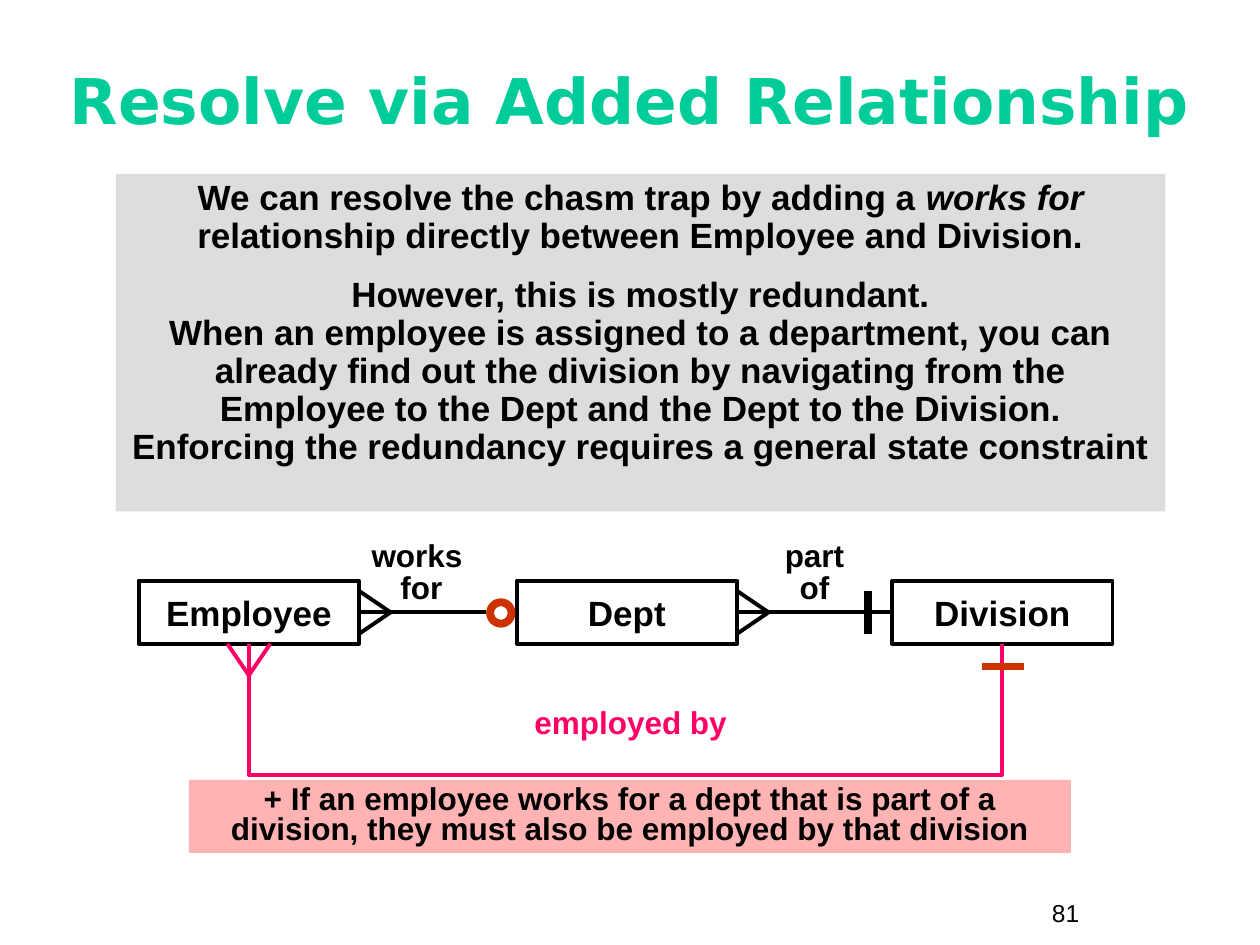
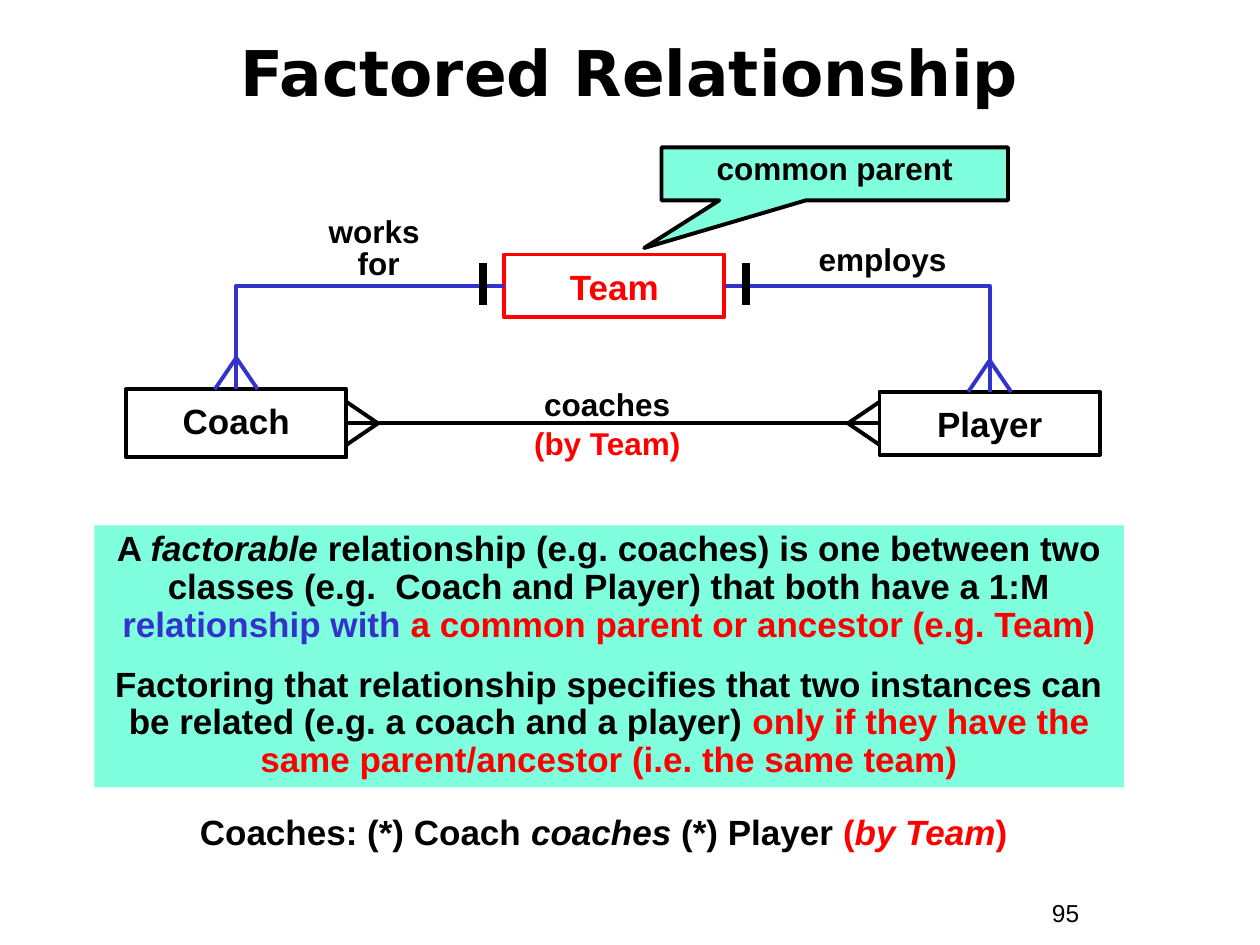
from pptx import Presentation
from pptx.dml.color import RGBColor
from pptx.enum.shapes import MSO_CONNECTOR, MSO_SHAPE
from pptx.enum.text import MSO_ANCHOR, MSO_AUTO_SIZE, PP_ALIGN
from pptx.oxml.ns import qn
from pptx.util import Inches, Pt
from lxml.etree import SubElement

COLORS = {
    "black": "000000", "green": "00CC99", "mint": "7FFFDD", "gray": "DDDDDD",
    "rose": "FFB3B3", "pink": "FF0066", "rust": "CC3300", "red": "FF0000",
    "blue": "3333CC",
}
TITLE_FONT, BODY_FONT = "DejaVu Sans", "Arial"
LINE, MARK = 2.25, 4.5
ENTITY_WIDTH, ENTITY_HEIGHT = 1.75, 0.5
FOOT_DEPTH, FOOT_SPREAD = 0.25, 0.17
TOP, LEFT, BOTTOM, RIGHT = range(4)
OUTWARD = {TOP: (0, -1), LEFT: (-1, 0), BOTTOM: (0, 1), RIGHT: (1, 0)}

ITALIC = {"italic": True}
RED = {"color": "red"}
RED_ITALIC = {"color": "red", "italic": True}

CHASM = {
    "title": ("Resolve via Added Relationship", "green", (0.33, 0.33, 9.33, 0.92)),
    "number": "81",
    "entities": {
        "Employee": ((1.1, 4.61), ENTITY_HEIGHT, "black", 1.0),
        "Dept": ((4.1, 4.61), ENTITY_HEIGHT, "black", 1.0),
        "Division": ((7.08, 4.61), ENTITY_HEIGHT, "black", 1.0),
    },
    "feet": [("Employee", RIGHT, "black"), ("Dept", RIGHT, "black"),
             ("Employee", BOTTOM, "pink")],
    "bars": [((6.89, 4.69), (6.89, 5.03), "black"),
             ((7.79, 5.29), (8.13, 5.29), "rust")],
    "labels": [
        ((2.51, 4.25, 1.67, 0.61), [[("works \nfor", {})]], {}),
        ((5.63, 4.25, 1.67, 0.61), [[("part\nof", {})]], {}),
        ((3.93, 5.58, 2.15, 0.36), [[("employed by", {"color": "pink"})]], {}),
    ],
    "panels": [
        ((0.92, 1.38, 8.33, 2.68), "gray", [
            [("We can resolve the chasm trap by adding a ", {}),
             ("works for", ITALIC),
             (" relationship directly between Employee and Division.", {})],
            [("However, this is mostly redundant.\n"
              "When an employee is assigned to a department, you can already "
              "find out the division by navigating from the Employee to the "
              "Dept and the Dept to the Division.\n"
              "Enforcing the redundancy requires a general state constraint", {})],
        ], {"size": 20, "spacing": 0.9}),
        ((1.5, 6.19, 7, 0.58), "rose", [
            [("+ If an employee works for a dept that is part of a division, "
              "they must also be employed by that division", {})],
        ], {"spacing": 0.8, "anchor": MSO_ANCHOR.MIDDLE}),
    ],
}

FACTORED = {
    "title": ("Factored Relationship", "black", (0.33, 0.15, 9.33, 0.83)),
    "number": "95",
    "entities": {
        "Coach": ((1, 3.09), 0.54, "black", 0.85),
        "Team": ((4, 2.02), ENTITY_HEIGHT, "red", 1.0),
        "Player": ((6.98, 3.11), ENTITY_HEIGHT, "black", 1.0),
    },
    "feet": [("Coach", RIGHT, "black"), ("Player", LEFT, "black"),
             ("Coach", TOP, "blue"), ("Player", TOP, "blue")],
    "bars": [((3.83, 2.09), (3.83, 2.42), "black"),
             ((5.92, 2.09), (5.92, 2.42), "black")],
    "labels": [
        ((2.17, 1.68, 1.67, 0.61), [[("works \nfor", {})]], {}),
        ((6.17, 1.9, 1.67, 0.36), [[("employs", {})]], {}),
        ((3.89, 2.99, 1.86, 0.73),
         [[("coaches\n", {}), ("(by Team)", RED)]], {"spacing": 1.05}),
        ((1.48, 6.42, 6.62, 0.4),
         [[("Coaches: (*) Coach ", {}), ("coaches", ITALIC),
           (" (*) Player ", {}), ("(", RED), ("by Team", RED_ITALIC), (")", RED)]],
         {"size": 20, "spacing": 0.9, "wrap": False}),
    ],
    "panels": [
        ((0.75, 4.17, 8.17, 2.08), "mint", [
            [("A ", {}), ("factorable", ITALIC),
             (" relationship (e.g. coaches) is one between two classes "
              "(e.g.  Coach and Player) that both have a 1:M ", {}),
             ("relationship with ", {"color": "blue"}),
             ("a common parent or ancestor (e.g. Team)", RED)],
            [("Factoring that relationship specifies that two instances can be "
              "related (e.g. a coach and a player) ", {}),
             ("only if they have the same parent/ancestor "
              "(i.e. the same team)", RED)],
        ], {"size": 20, "spacing": 0.9}),
    ],
}


def rgb(color):
    return RGBColor.from_string(COLORS[color])


def inches(values):
    return [Inches(value) for value in values]


def apply_format(target, values):
    for name, value in values.items():
        setattr(target, name, value)


def style_font(font, color="black", size=18, bold=True, italic=False, name=BODY_FONT):
    apply_format(font, {"name": name, "size": Pt(size), "bold": bold, "italic": italic})
    font.color.rgb = rgb(color)


def write(shape, paragraphs, size=18, bold=True, spacing=0.85, align=PP_ALIGN.CENTER,
          anchor=MSO_ANCHOR.TOP, wrap=True):
    frame = shape.text_frame
    apply_format(frame, {"word_wrap": wrap, "vertical_anchor": anchor,
                         "auto_size": MSO_AUTO_SIZE.NONE})
    for index, runs in enumerate(paragraphs):
        paragraph = frame.add_paragraph() if index else frame.paragraphs[0]
        apply_format(paragraph, {"alignment": align, "line_spacing": spacing})
        if index:
            paragraph.space_before = Pt(12.5)
        for text, emphasis in runs:
            for row, part in enumerate(text.split("\n")):
                if row:
                    paragraph.add_line_break()
                if part:
                    run = paragraph.add_run()
                    run.text = part
                    style_font(run.font, size=size, bold=bold, **emphasis)


def paint(shape, fill=None, line=None, width=LINE):
    shape.shadow.inherit = False
    if fill:
        shape.fill.solid()
        shape.fill.fore_color.rgb = rgb(fill)
    else:
        shape.fill.background()
    if line:
        shape.line.color.rgb = rgb(line)
        shape.line.width = Pt(width)
    else:
        shape.line.fill.background()


def add_box(slide, kind, place, fill=None, line=None, width=LINE):
    box = slide.shapes.add_shape(kind, *inches(place))
    paint(box, fill, line, width)
    return box


def add_label(slide, place, paragraphs, **options):
    write(slide.shapes.add_textbox(*inches(place)), paragraphs, **options)


def add_line(slide, start, end, color, width=LINE, kind=MSO_CONNECTOR.STRAIGHT):
    line = slide.shapes.add_connector(kind, *inches(start + end))
    line.line.color.rgb = rgb(color)
    line.line.width = Pt(width)
    SubElement(line._element.spPr, qn("a:effectLst"))
    return line


def side_middle(entity, side):
    dx, dy = OUTWARD[side]
    return ((entity.left + entity.width * (1 + dx) / 2) / Inches(1),
            (entity.top + entity.height * (1 + dy) / 2) / Inches(1))


def join(slide, first, first_side, second, second_side, color,
         kind=MSO_CONNECTOR.STRAIGHT):
    line = add_line(slide, side_middle(first, first_side),
                    side_middle(second, second_side), color, kind=kind)
    line.begin_connect(first, first_side)
    line.end_connect(second, second_side)
    return line


def add_route(slide, points, color):
    start, *rest = [inches(point) for point in points]
    route = slide.shapes.build_freeform(*start)
    route.add_line_segments(rest, close=False)
    paint(route.convert_to_shape(), line=color)


def add_foot(slide, entity, side, color):
    x, y = side_middle(entity, side)
    dx, dy = OUTWARD[side]
    apex = (x + dx * FOOT_DEPTH, y + dy * FOOT_DEPTH)
    for spread in (-FOOT_SPREAD, FOOT_SPREAD):
        add_line(slide, apex, (x + dy * spread, y + dx * spread), color)


def add_diagram_slide(deck, content):
    slide = deck.slides.add_slide(deck.slide_layouts[5])
    heading, color, place = content["title"]
    title = slide.shapes.title
    apply_format(title, dict(zip(("left", "top", "width", "height"), inches(place))))
    write(title, [[(heading, {"color": color, "name": TITLE_FONT})]],
          size=36, spacing=1.0, anchor=MSO_ANCHOR.MIDDLE)
    add_label(slide, (8.25, 7.08, 0.92, 0.34), [[(content["number"], {})]],
              size=14, bold=False, spacing=1.0, align=PP_ALIGN.LEFT)
    entities = {}
    for name, (corner, height, color, spacing) in content["entities"].items():
        entity = add_box(slide, MSO_SHAPE.RECTANGLE,
                         corner + (ENTITY_WIDTH, height), line=color)
        write(entity, [[(name, {"color": color})]], size=20, spacing=spacing,
              anchor=MSO_ANCHOR.MIDDLE, wrap=False)
        entities[name] = entity
    for name, side, color in content["feet"]:
        add_foot(slide, entities[name], side, color)
    for place, paragraphs, options in content["labels"]:
        add_label(slide, place, paragraphs, **options)
    for place, fill, paragraphs, options in content["panels"]:
        panel = add_box(slide, MSO_SHAPE.RECTANGLE, place, fill)
        write(panel, paragraphs, **options)
    return slide, entities


def add_bars(slide, content):
    for start, end, color in content["bars"]:
        add_line(slide, start, end, color, MARK)


def build_chasm(deck):
    slide, entities = add_diagram_slide(deck, CHASM)
    employee, dept, division = entities.values()
    works_for = add_line(slide, side_middle(employee, RIGHT), (3.86, 4.86), "black")
    works_for.begin_connect(employee, RIGHT)
    add_box(slide, MSO_SHAPE.OVAL, (3.89, 4.78, 0.17, 0.17), line="rust", width=MARK)
    join(slide, dept, RIGHT, division, LEFT, "black")
    start, end = side_middle(division, BOTTOM), side_middle(employee, BOTTOM)
    add_route(slide, [start, (start[0], 6.15), (end[0], 6.15), end], "pink")
    add_bars(slide, CHASM)


def build_factored(deck):
    slide, entities = add_diagram_slide(deck, FACTORED)
    coach, team, player = entities.values()
    join(slide, coach, RIGHT, player, LEFT, "black")
    for side, member in ((LEFT, coach), (RIGHT, player)):
        elbow = join(slide, team, side, member, TOP, "blue", MSO_CONNECTOR.ELBOW)
        elbow._element.spPr.find(qn("a:prstGeom")).set("prst", "bentConnector2")
    add_bars(slide, FACTORED)
    callout = add_box(slide, MSO_SHAPE.RECTANGULAR_CALLOUT, (5.25, 1.17, 2.75, 0.42),
                      "mint", "black")
    callout.adjustments[0], callout.adjustments[1] = -0.55, 1.4
    write(callout, [[("common parent", {})]], spacing=0.9)


def main():
    deck = Presentation()
    deck.slide_width, deck.slide_height = Inches(10), Inches(7.5)
    build_chasm(deck)
    build_factored(deck)
    deck.save("out.pptx")


if __name__ == "__main__":
    main()
